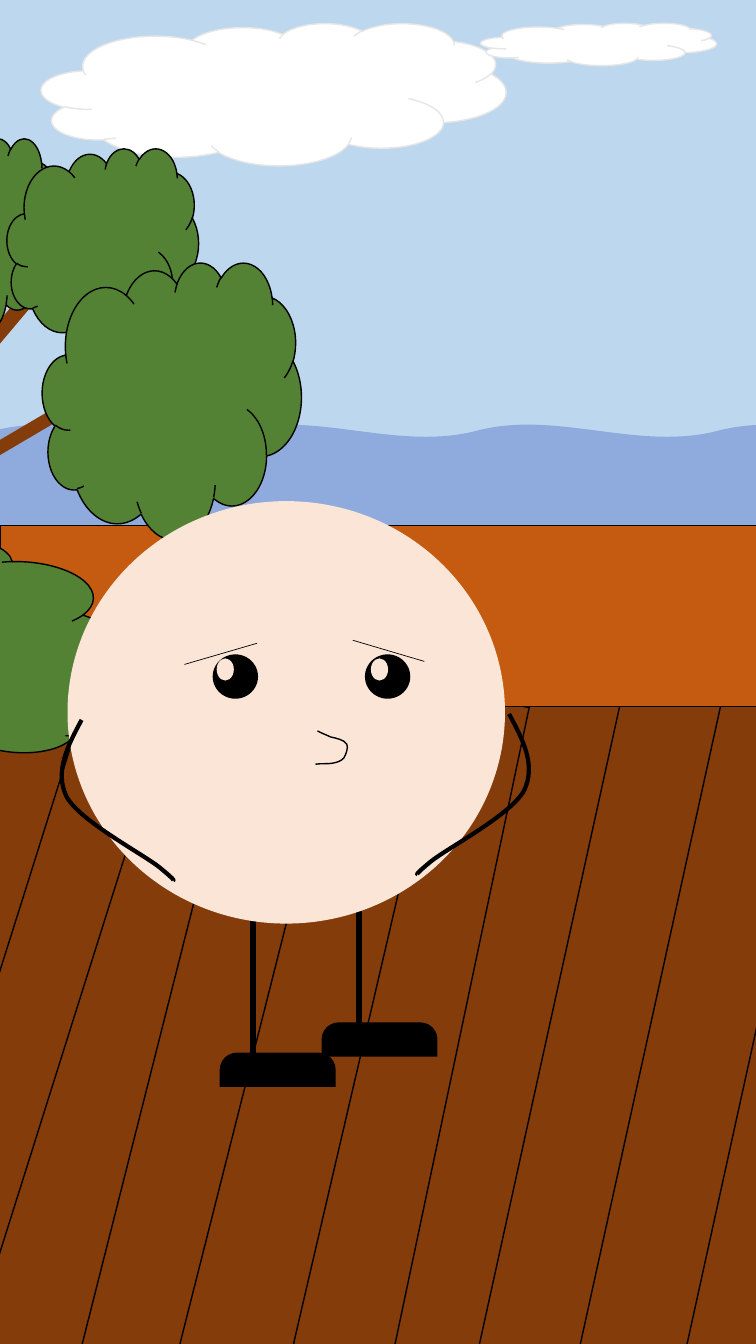
from lxml import etree
from pptx import Presentation
from pptx.dml.color import RGBColor
from pptx.enum.shapes import MSO_CONNECTOR, MSO_SHAPE
from pptx.oxml.ns import qn
from pptx.util import Inches, Pt

RECT, CLOUD, WAVE = MSO_SHAPE.RECTANGLE, MSO_SHAPE.CLOUD, MSO_SHAPE.DOUBLE_WAVE
CAN, OVAL, SHOE = MSO_SHAPE.CAN, MSO_SHAPE.OVAL, MSO_SHAPE.ROUND_2_SAME_RECTANGLE
STRAIGHT = MSO_CONNECTOR.STRAIGHT
COLORS = {
    "sky": "BDD7EE", "cloud": "FFFFFF", "cloud edge": "E7E6E6", "sea": "8FAADC",
    "wood": "843C0B", "wall": "C55A11", "leaf": "548235", "skin": "FBE5D6", "ink": "000000",
}
COLUMNS, ROWS = 75, 133.3

prs = Presentation()
prs.slide_width, prs.slide_height = Inches(7.5), Inches(13.33)
s = prs.slides.add_slide(prs.slide_layouts[6])
CELL = prs.slide_width / COLUMNS


def add_shape(shapes, kind, box, fill, edge=None, rotation=0):
    sp = shapes.add_shape(kind, *(round(v * CELL) for v in box))
    sp.shadow.inherit = False
    sp.rotation = rotation
    sp.fill.solid()
    sp.fill.fore_color.rgb = RGBColor.from_string(COLORS[fill])
    if edge:
        sp.line.color.rgb = RGBColor.from_string(COLORS[edge])
        sp.line.width = Pt(1)
    else:
        sp.line.fill.background()
    return sp


def add_line(shapes, start, end, width):
    ends = (round(v * CELL) for v in (*start, *end))
    line = shapes.add_connector(STRAIGHT, *ends)
    line.line.color.rgb = RGBColor.from_string(COLORS["ink"])
    line.line.width = Pt(width)
    etree.SubElement(line._element.spPr, qn("a:effectLst"))


add_shape(s.shapes, RECT, (0, 0, COLUMNS, ROWS), "sky")
for box in [(4.1, 2.3, 46.1, 14.1), (47.7, 2.3, 23.4, 4.2)]:
    add_shape(s.shapes, CLOUD, box, "cloud", "cloud edge")

WAVE_WIDTH = 47.9
for left, top in [(-0.6, 42.1), (-9, 45)]:
    sea = s.shapes.add_group_shape()
    for i in range(2):
        add_shape(sea.shapes, WAVE, (left + i * WAVE_WIDTH, top, WAVE_WIDTH, 10), "sea")

planks = [
    (34.5, 68.7, 13.5, 73.4, 10.7), (44.6, 68, 10.2, 80.4, 11.9),
    (53.6, 67.6, 10.7, 77.7, 12.4), (24.6, 66.8, 11.2, 74.3, 13.1),
    (5.8, 67.6, 10.4, 68.1, 14.3), (16, 65.3, 9.4, 75.2, 14.2),
    (-7.7, 65.1, 8.1, 63.7, 16.2), (-0.7, 67.3, 8.4, 63.7, 17.5),
    (63.3, 69, 10.7, 77.7, 12.4), (72.7, 74.4, 10.7, 77.7, 12.4),
]
for *box, rotation in planks:
    add_shape(s.shapes, RECT, box, "wood", "ink", rotation)
add_shape(s.shapes, RECT, (0, 52.1, 75.2, 18), "wall", "ink")

for *box, rotation in [(-1.1, 34, 1.3, 21.3, 59.5), (-2.3, 24.1, 1.5, 21.3, 40.1)]:
    add_shape(s.shapes, CAN, box, "wood", rotation=rotation)
foliage = [
    (-9.7, 13.7, 15.6, 19.4, 0), (0.7, 14.7, 19, 19.4, 0),
    (4.2, 26, 25.7, 27.5, 0), (-15.4, 47.3, 21.3, 33.7, 92.7),
]
for *box, rotation in foliage:
    add_shape(s.shapes, CLOUD, box, "leaf", "ink", rotation)

body = s.shapes.add_group_shape().shapes
for x, top in [(25.1, 91.3), (35.6, 89.1)]:
    add_line(body, (x, top), (x, top + 15), 4.5)
add_shape(body, OVAL, (6.7, 49.7, 43.4, 41.9), "skin")
for left, top in [(31.9, 101.4), (21.8, 104.4)]:
    shoe = add_shape(body, SHOE, (left, top, 11.5, 3.4), "ink")
    shoe.adjustments[0], shoe.adjustments[1] = 0.5, 0

left_arm = [
    (8.1, 71.4), (6.7, 74), (5.4, 76.5), (6.6, 79), (7.9, 81.4),
    (14, 84.6), (15.8, 86), (17.5, 87.4), (17.2, 87.3), (17.2, 87.3),
]
right_arm = [(58.6 - x, y - 0.6) for x, y in left_arm]
mouth = [
    (31.5, 72.5), (31.6, 72.6), (31.6, 72.6), (31.9, 72.7), (32.1, 72.8),
    (32.4, 72.9), (32.8, 73.1), (33.3, 73.2), (34.2, 73.4), (34.4, 73.8),
    (34.6, 74.1), (34.3, 74.9), (34.1, 75.2), (33.8, 75.5), (33.5, 75.6),
    (33, 75.7), (32.5, 75.8), (31.9, 75.7), (31.3, 75.8),
]
curves = [
    (left_arm, (6.1, 71.4, 11.1, 15.8), 3),
    (right_arm, (41.3, 70.8, 11.1, 15.8), 3),
    (mouth, (31.3, 72.5, 3.2, 3.3), 1),
]
for controls, (left, top, width, height), weight in curves:
    builder = body.build_freeform(round(left * CELL), round(top * CELL))
    corner = (round((left + width) * CELL), round((top + height) * CELL))
    builder.add_line_segments([corner], close=False)
    sp = builder.convert_to_shape()
    outline = next(sp._element.iter(qn("a:path")))
    for child in list(outline):
        outline.remove(child)
    segment = etree.SubElement(outline, qn("a:moveTo"))
    for i, (x, y) in enumerate(controls):
        if i % 3 == 1:
            segment = etree.SubElement(outline, qn("a:cubicBezTo"))
        pt = etree.SubElement(segment, qn("a:pt"))
        pt.set("x", str(round((x - left) * CELL)))
        pt.set("y", str(round((y - top) * CELL)))
    sp.shadow.inherit = False
    sp.fill.background()
    sp.line.color.rgb = RGBColor.from_string(COLORS["ink"])
    sp.line.width = Pt(weight)

for eye_left, glint_left in [(21.1, 21.5), (36.2, 36.8)]:
    add_shape(body, OVAL, (eye_left, 64.9, 4.5, 4.4), "ink")
    add_shape(body, OVAL, (glint_left, 65.3, 1.7, 2.2), "skin")

for brow in [((35, 63.5), (42.1, 65.6)), ((25.5, 63.8), (18.3, 65.9))]:
    add_line(s.shapes, *brow, 0.5)

prs.save("out.pptx")
